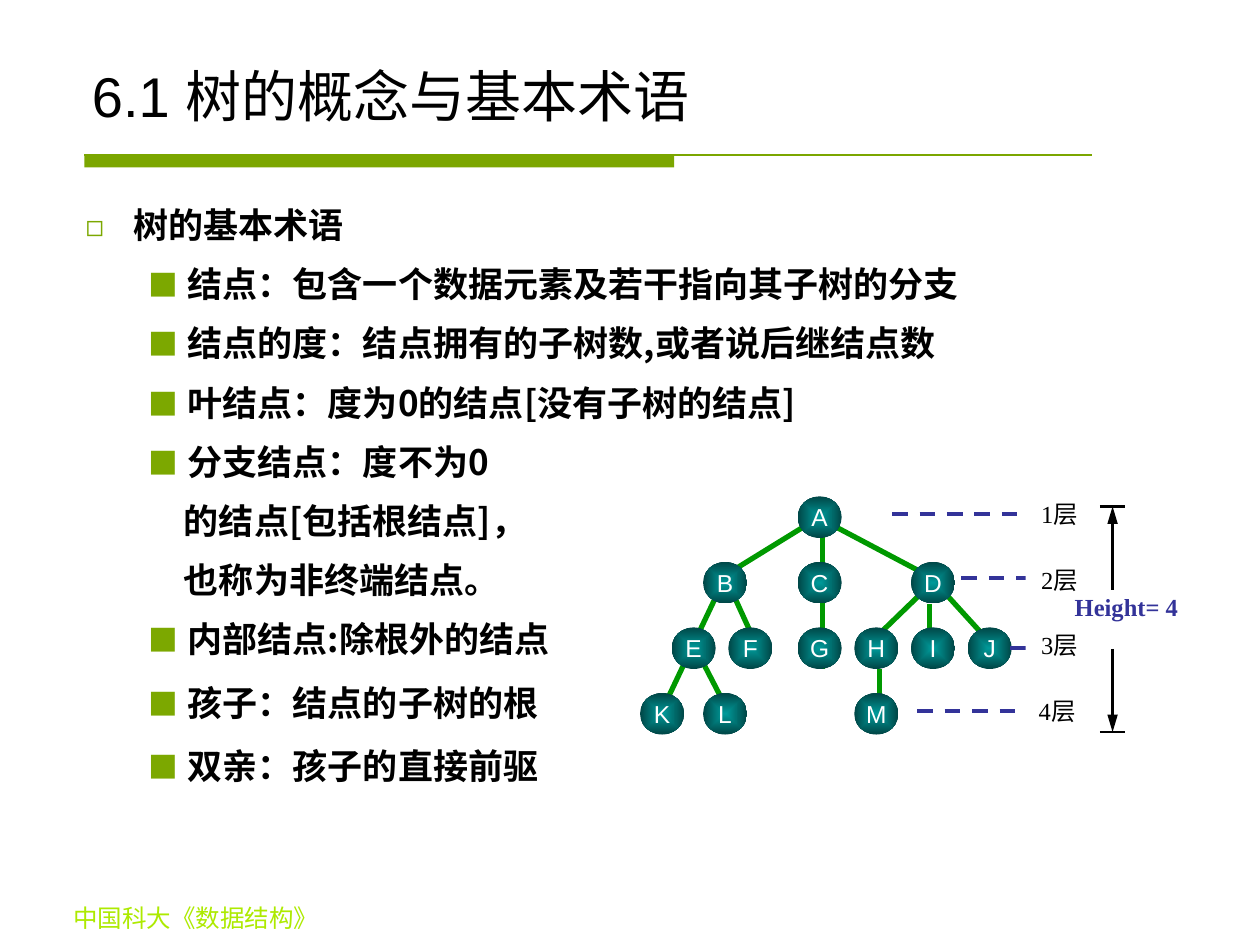
from dataclasses import dataclass

from lxml import etree
from pptx import Presentation
from pptx.dml.color import RGBColor
from pptx.enum.dml import MSO_LINE
from pptx.enum.shapes import MSO_CONNECTOR, MSO_SHAPE
from pptx.enum.text import MSO_ANCHOR, MSO_AUTO_SIZE, PP_ALIGN
from pptx.oxml.ns import qn
from pptx.util import Pt

LEFT, CENTER = PP_ALIGN.LEFT, PP_ALIGN.CENTER
TOP, MIDDLE, BOTTOM = MSO_ANCHOR.TOP, MSO_ANCHOR.MIDDLE, MSO_ANCHOR.BOTTOM
DASH, STRAIGHT = MSO_LINE.DASH, MSO_CONNECTOR.STRAIGHT
RECTANGLE, OVAL = MSO_SHAPE.RECTANGLE, MSO_SHAPE.OVAL
NO_FIT = MSO_AUTO_SIZE.NONE
PX = 9144


@dataclass(frozen=True)
class Theme:
    """Colours, fonts and type sizes of the slide."""
    rule: str = "7BA600"
    bullet: str = "7CA800"
    footer: str = "ADEA00"
    ink: str = "000000"
    paper: str = "FFFFFF"
    edge: str = "009900"
    accent: str = "333399"
    node_core: str = "009999"
    node_rim: str = "004646"
    sans: str = "Arial"
    serif: str = "Times New Roman"
    chinese: str = "Noto Sans CJK SC"
    title_size: int = 32
    body_size: int = 20
    small_size: int = 14


THEME = Theme()
TITLE = "6.1 树的概念与基本术语"
FOOTER = "中国科大《数据结构》"
TERMS = [
    ("square", 0, "树的基本术语"),
    ("block", 5, "结点：包含一个数据元素及若干指向其子树的分支"),
    ("block", 5, "结点的度：结点拥有的子树数,或者说后继结点数"),
    ("block", 5, "叶结点：度为0的结点[没有子树的结点]"),
    ("block", 5, "分支结点：度不为0"),
    ("plain", 5, "的结点[包括根结点]，"),
    ("plain", 5, "也称为非终端结点。"),
    ("block", 5, "内部结点:除根外的结点"),
    ("block", 7.5, "孩子：结点的子树的根"),
    ("block", 7.5, "双亲：孩子的直接前驱"),
]
TERM_STYLES = {
    "square": (0, 38, -38, "◻"),
    "block": (1, 81, -31, "■"),
    "plain": (1, 78, 0, None),
}
ROW_STEP = 52
NODE_ROWS = [
    {"A": 125},
    {"B": 50, "C": 125, "D": 215},
    {"E": 25, "F": 70, "G": 125, "H": 170, "I": 215, "J": 260},
    {"K": 0, "L": 50, "M": 170},
]
EDGES = [
    (245, 80, 275, 113), (220, 80, 190, 109), (230, 85, 230, 109),
    (190, 137, 190, 165), (155, 24, 225, 61), (130, 24, 70, 61),
    (145, 28, 145, 137), (75, 80, 90, 113), (50, 132, 65, 161),
    (60, 80, 15, 175),
]
LEVELS = [(200, 340, 14, 306), (255, 330, 65, 306), (294, 339, 120, 306), (220, 340, 170, 304)]


def emu(*lengths):
    """Turn px lengths into EMU."""
    return [round(length * PX) for length in lengths]


def color(code):
    """Turn a hex code into a colour."""
    return RGBColor.from_string(code)


def style_para(para, size, face, tint, align=LEFT, bold=False):
    """Set alignment and type of one paragraph."""
    para.alignment = align
    font = para.font
    font.size, font.name, font.bold = Pt(size), face, bold
    font.color.rgb = color(tint)
    defaults = para._p.pPr.find(qn("a:defRPr"))
    etree.SubElement(defaults, qn("a:ea"), typeface=THEME.chinese)


def set_text(shape, text, anchor, wrap, *style, **options):
    """Write one styled paragraph into a shape."""
    frame = shape.text_frame
    frame.auto_size, frame.word_wrap, frame.vertical_anchor = NO_FIT, wrap, anchor
    frame.text = text
    style_para(frame.paragraphs[0], *style, **options)
    return frame.paragraphs[0]


def move(shape, box):
    """Place a shape at a px box."""
    shape.left, shape.top, shape.width, shape.height = emu(*box)


def add_solid(page, box, tint):
    """Add a plain filled rectangle."""
    shape = page.shapes.add_shape(RECTANGLE, *emu(*box))
    shape.shadow.inherit = False
    shape.fill.solid()
    shape.fill.fore_color.rgb = color(tint)
    shape.line.fill.background()
    return shape


def add_line(page, origin, ends, tint, width, dash=None, arrow=False):
    """Add a straight line relative to an origin."""
    x, y = origin
    x1, y1, x2, y2 = ends
    line = page.shapes.add_connector(STRAIGHT, *emu(x + x1, y + y1, x + x2, y + y2))
    line.line.color.rgb = color(tint)
    line.line.width = Pt(width)
    if dash is not None:
        line.line.dash_style = dash
    properties = line._element.spPr
    if arrow:
        outline = properties.find(qn("a:ln"))
        etree.SubElement(outline, qn("a:tailEnd"), type="triangle", w="med", len="lg")
    etree.SubElement(properties, qn("a:effectLst"))


def add_header(page, box):
    """Fill the title and draw the rule below it."""
    left, top, _, height = box
    title = page.shapes.title
    move(title, box)
    set_text(title, TITLE, BOTTOM, True, THEME.title_size, THEME.sans, THEME.ink)
    rule = (left + 4, top + height + 16)
    add_solid(page, (*rule, 468, 10), THEME.rule)
    add_line(page, rule, (0, 0, 800, 0), THEME.rule, 0.75)


def set_bullet(para, kind):
    """Give a paragraph its level, indent and bullet."""
    para.level, margin, indent, mark = TERM_STYLES[kind]
    properties = para._p.get_or_add_pPr()
    properties.set("marL", str(margin * PX))
    properties.set("indent", str(indent * PX))
    if mark is None:
        etree.SubElement(properties, qn("a:buNone"))
        return
    tint = etree.SubElement(properties, qn("a:buClr"))
    etree.SubElement(tint, qn("a:srgbClr"), val=THEME.bullet)
    etree.SubElement(properties, qn("a:buSzPct"), val="85000")
    etree.SubElement(properties, qn("a:buFont"), typeface=THEME.chinese)
    etree.SubElement(properties, qn("a:buChar"), char=mark)


def add_terms(page, box):
    """Fill the body with the list of terms."""
    body = page.placeholders[1]
    move(body, box)
    frame = body.text_frame
    frame.auto_size, frame.word_wrap, frame.vertical_anchor = NO_FIT, True, TOP
    frame.text = "\n".join(text for _, _, text in TERMS)
    for para, (kind, gap, _) in zip(frame.paragraphs, TERMS):
        set_bullet(para, kind)
        para.line_spacing, para.space_before = 1.2, Pt(gap)
        style_para(para, THEME.body_size, THEME.chinese, THEME.ink, bold=True)


def add_node(page, box, name):
    """Add one tree node with a gradient from core to rim."""
    node = page.shapes.add_shape(OVAL, *emu(*box))
    node.shadow.inherit = False
    node.line.fill.background()
    node.fill.gradient()
    for stop, tint in zip(node.fill.gradient_stops, (THEME.node_core, THEME.node_rim)):
        stop.color.rgb = color(tint)
    gradient = node._element.spPr.find(qn("a:gradFill"))
    gradient.remove(gradient.find(qn("a:lin")))
    shade = etree.SubElement(gradient, qn("a:path"), path="rect")
    etree.SubElement(shade, qn("a:fillToRect"), l="50000", t="50000", r="50000", b="50000")
    set_text(node, name, MIDDLE, False, THEME.small_size, THEME.sans, THEME.paper, CENTER)


def add_tree(page, box):
    """Draw the tree, its level labels and its height mark."""
    left, top, _, height = box
    origin = (left, top)
    for ends in EDGES:
        add_line(page, origin, ends, THEME.edge, 3)
    for row, nodes in enumerate(NODE_ROWS):
        for name, x in nodes.items():
            add_node(page, (left + x, top + row * ROW_STEP, 35, 33), name)
    for row, (start, end, y, label_x) in enumerate(LEVELS):
        add_line(page, origin, (start, y, end, y), THEME.accent, 2.25, dash=DASH)
        label = add_solid(page, (left + label_x, top - 3 + row * ROW_STEP, 54, 34), THEME.paper)
        set_text(label, f"{row + 1}层", MIDDLE, False, THEME.small_size, THEME.serif, THEME.ink, CENTER)
    for limit, inner in ((8, 74), (height - 2, 121)):
        add_line(page, origin, (365, limit, 385, limit), THEME.ink, 1.5)
        add_line(page, origin, (375, inner, 375, limit), THEME.ink, 1.5, arrow=True)
    caption = page.shapes.add_textbox(*emu(left + 321, top + 75, 130, 29))
    para = set_text(caption, "Height= 4", MIDDLE, True, THEME.small_size, THEME.serif,
                    THEME.accent, CENTER, bold=True)
    para.line_spacing = 0.8


def add_footer(page, box):
    """Add the course name at the foot."""
    footer = page.shapes.add_textbox(*emu(*box))
    set_text(footer, FOOTER, TOP, True, THEME.small_size, THEME.serif, THEME.footer, CENTER)


def main():
    """Build and save the deck."""
    deck = Presentation()
    deck.slide_width, deck.slide_height = emu(1000, 750)
    page = deck.slides.add_slide(deck.slide_layouts[1])
    add_header(page, (63, 33, 875, 74))
    add_footer(page, (0, 712, 311, 34))
    add_terms(page, (58, 150, 875, 543))
    add_tree(page, (508, 394, 451, 189))
    deck.save("out.pptx")


if __name__ == "__main__":
    main()
